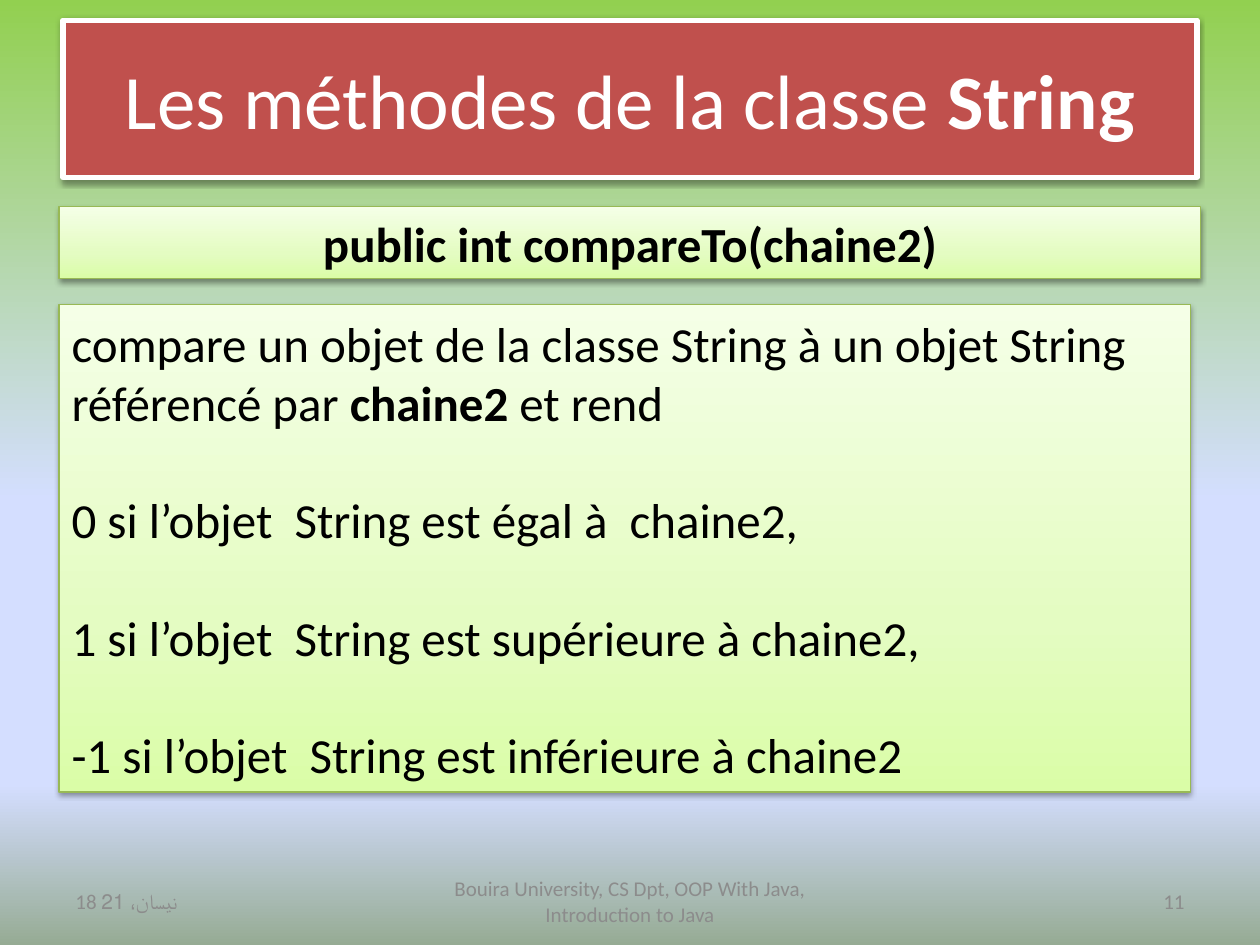
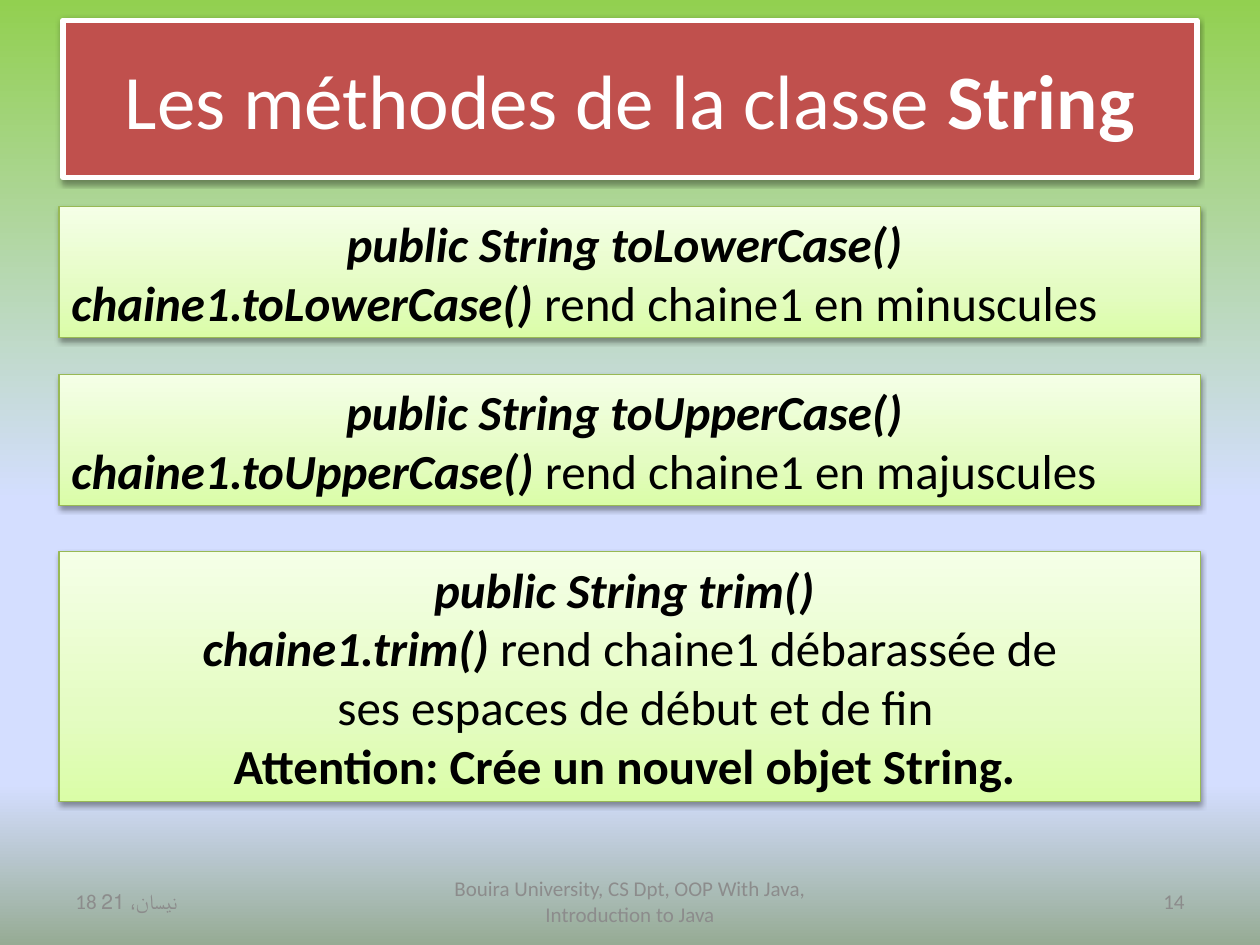
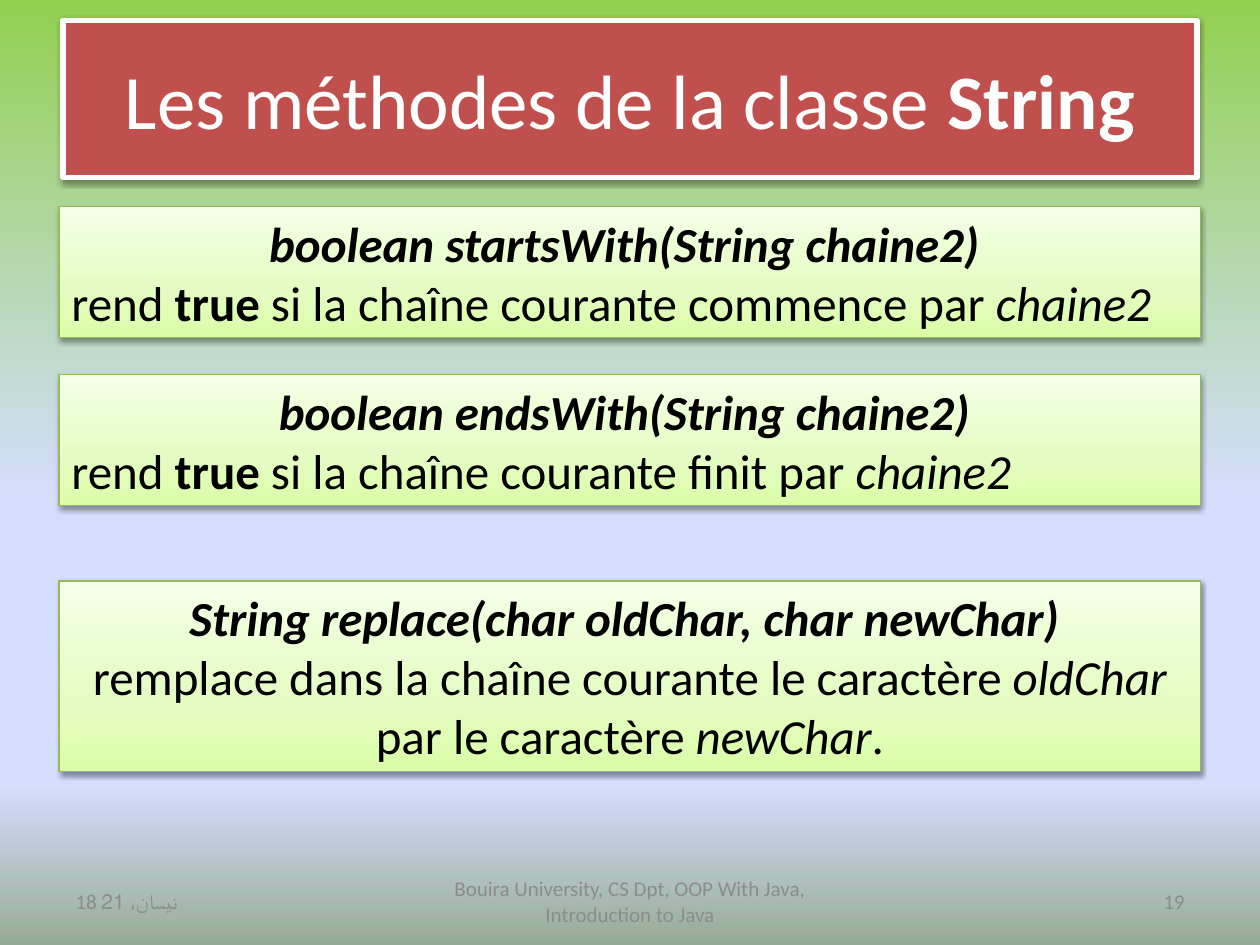
from pptx import Presentation
from pptx.dml.color import RGBColor
from pptx.enum import shapes, text
from pptx.oxml import parse_xml
from pptx.oxml.ns import nsdecls, qn
from pptx.util import Pt

# Content: runs are (text, style) with b = bold, i = italic
TITLE = [("Les méthodes de la classe ", ""), ("String", "b")]
DATE = "18 نيسان، 21"
FOOTER = "Bouira University, CS Dpt, OOP With Java, Introduction to Java"
MID, LEFT, RIGHT = text.PP_ALIGN.CENTER, text.PP_ALIGN.LEFT, text.PP_ALIGN.RIGHT
WIDE, SLIM = 652.3, 646.6
LINE = 33.6

# Boxes are (top, width, lines of text, gap between paragraphs, paragraphs)
SLIDES = [
    (11, [
        (118, WIDE, 1, 0, [(MID, [("public int compareTo(chaine2)", "b")])]),
        (174.2, SLIM, 8, LINE, [
            (LEFT, [("compare un objet de la classe String à un objet String référencé par ", ""),
                    ("chaine2 ", "b"), ("et rend", "")]),
            (LEFT, [("0 si l’objet  String est égal à  chaine2,", "")]),
            (LEFT, [("1 si l’objet  String est supérieure à chaine2,", "")]),
            (LEFT, [("-1 si l’objet  String est inférieure à chaine2", "")]),
        ]),
    ]),
    (14, [
        (118, WIDE, 2, 0, [
            (MID, [("public String toLowerCase() ", "bi")]),
            (LEFT, [("chaine1.toLowerCase() ", "bi"), ("rend chaine1 en minuscules", "")]),
        ]),
        (214, WIDE, 2, 0, [
            (MID, [("public String toUpperCase() ", "bi")]),
            (LEFT, [("chaine1.toUpperCase() ", "bi"), ("rend chaine1 en majuscules", "")]),
        ]),
        (315.3, WIDE, 4, 0, [
            (MID, [("public String trim() ", "bi")]),
            (MID, [("chaine1.trim() ", "bi"), ("rend chaine1 débarassée de", "")]),
            (MID, [(" ses espaces de début et de fin", "")]),
            (MID, [("Attention: Crée un nouvel objet String. ", "b")]),
        ]),
    ]),
    (19, [
        (118, WIDE, 2, 0, [
            (MID, [("boolean startsWith(String chaine2) ", "bi")]),
            (LEFT, [("rend ", ""), ("true", "b"),
                    (" si la chaîne courante commence par ", ""), ("chaine2", "i")]),
        ]),
        (214, WIDE, 2, 0, [
            (MID, [("boolean endsWith(String chaine2) ", "bi")]),
            (LEFT, [("rend ", ""), ("true", "b"),
                    (" si la chaîne courante finit par ", ""), ("chaine2", "i")]),
        ]),
        (332, WIDE, 3, 0, [
            (MID, [("String replace(char oldChar, char newChar) ", "bi")]),
            (MID, [("remplace dans la chaîne courante le caractère ", ""), ("oldChar ", "i"),
                   ("par le caractère ", ""), ("newChar", "i"), (".", "")]),
        ]),
    ]),
]

# Shared look; gradients run from top to bottom
FONT = "Calibri"
RED = RGBColor(0xC0, 0x50, 0x4D)
WHITE = RGBColor(0xFF, 0xFF, 0xFF)
BLACK = RGBColor(0, 0, 0)
GREY = RGBColor(0x8C, 0x8C, 0x8C)
GREEN = RGBColor(0x98, 0xB9, 0x55)
SKY = [(0, RGBColor(0x92, 0xD0, 0x50)), (53, RGBColor(0xD4, 0xDE, 0xFF)),
       (83, RGBColor(0xD4, 0xDE, 0xFF)), (100, RGBColor(0x96, 0xAB, 0x94))]
LIME = [(0, RGBColor(0xF5, 0xFF, 0xE7)), (65, RGBColor(0xE4, 0xFC, 0xC2)),
        (100, RGBColor(0xDA, 0xFD, 0xA7))]


def shade(fill, root, stops):
    fill.gradient()
    fill.gradient_angle = 270
    old = next(root.iter(qn("a:gsLst")))
    marks = "".join(f'<a:gs pos="{pos * 1000}"><a:srgbClr val="{color}"/></a:gs>'
                    for pos, color in stops)
    new = parse_xml(f'<a:gsLst {nsdecls("a")}>{marks}</a:gsLst>')
    old.getparent().replace(old, new)


def write(shape, paras, size, color, gap=0):
    frame = shape.text_frame
    frame.word_wrap = True
    frame.vertical_anchor = text.MSO_ANCHOR.MIDDLE
    for num, (align, runs) in enumerate(paras):
        para = frame.add_paragraph() if num else frame.paragraphs[0]
        para.alignment = align
        if num and gap:
            para.space_before = Pt(gap)
        for words, style in runs:
            run = para.add_run()
            run.text = words
            font = run.font
            font.name, font.size = FONT, Pt(size)
            font.color.rgb = color
            font.bold, font.italic = "b" in style, "i" in style


def panel(slide, place, edge, width):
    box = slide.shapes.add_shape(shapes.MSO_SHAPE.RECTANGLE, *map(Pt, place))
    box.line.color.rgb = edge
    box.line.width = Pt(width)
    box.shadow.inherit = False
    glow = parse_xml(
        f'<a:outerShdw {nsdecls("a")} blurRad="{Pt(3.1)}" dist="{Pt(1.6)}" dir="5400000" '
        'rotWithShape="0"><a:srgbClr val="000000"><a:alpha val="38000"/></a:srgbClr>'
        '</a:outerShdw>')
    next(box.element.iter(qn("a:effectLst"))).append(glow)
    return box


def build(deck, page, boxes):
    slide = deck.slides.add_slide(deck.slide_layouts[6])
    shade(slide.background.fill, slide.element, SKY)

    # Title band
    band = panel(slide, (36, 11.5, 648, 90), WHITE, 3)
    band.fill.solid()
    band.fill.fore_color.rgb = RED
    write(band, [(MID, TITLE)], 44, WHITE)

    # Method boxes, as tall as their lines
    for top, width, lines, gap, paras in boxes:
        box = panel(slide, (33.8, top, width, 7.2 + 33.9 * lines), GREEN, 0.75)
        shade(box.fill, box.element, LIME)
        write(box, paras, 28, BLACK, gap)

    # Footer row
    for left, width, align, words in [(246, 228, MID, FOOTER), (516, 168, RIGHT, str(page)),
                                      (36, 168, LEFT, DATE)]:
        note = slide.shapes.add_textbox(Pt(left), Pt(500.5), Pt(width), Pt(28.8))
        write(note, [(align, [(words, "")])], 12, GREY)


def main():
    deck = Presentation()
    deck.slide_width, deck.slide_height = Pt(720), Pt(540)
    for page, boxes in SLIDES:
        build(deck, page, boxes)
    deck.save("out.pptx")


if __name__ == "__main__":
    main()
